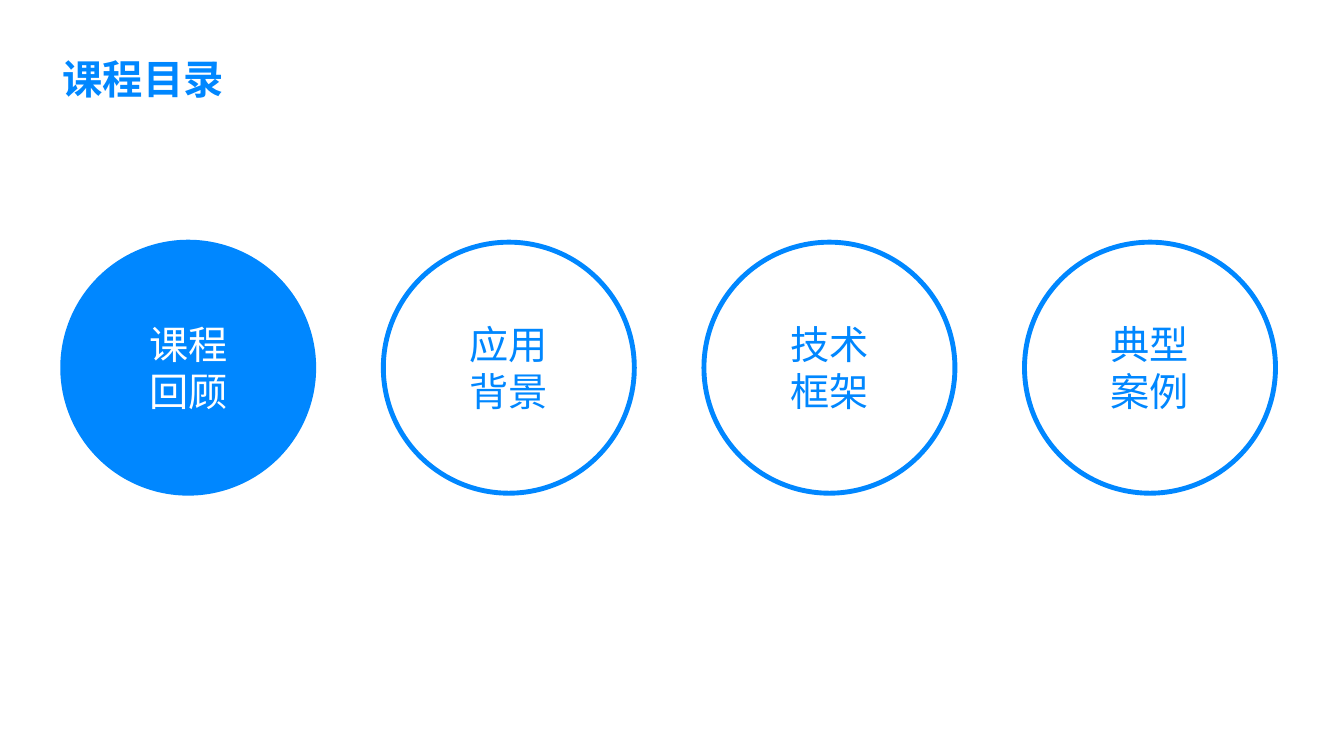
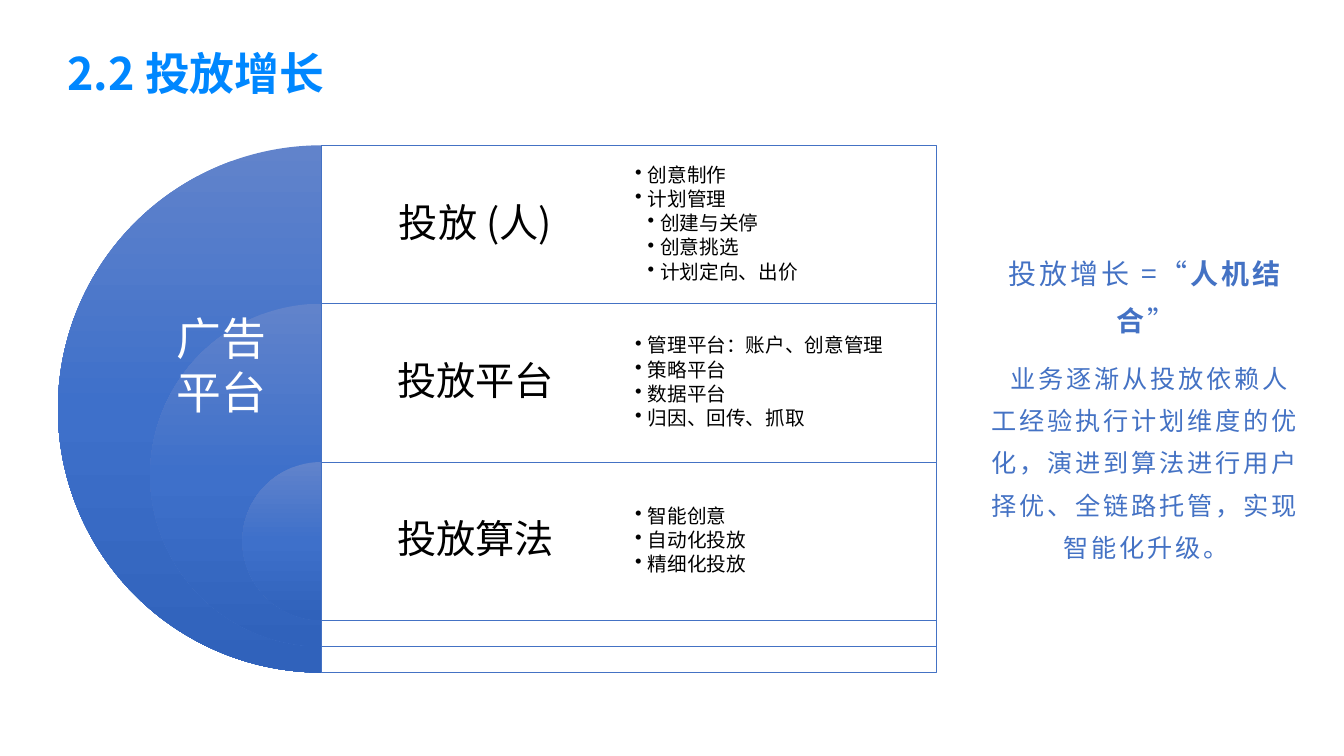
import copy

import pptx
import pptx.dml.color
import pptx.enum.shapes
import pptx.enum.text
import pptx.oxml.ns
import pptx.oxml.xmlchemy
import pptx.util

Pt = pptx.util.Pt
SHAPE = pptx.enum.shapes.MSO_SHAPE
ALIGN = pptx.enum.text.PP_ALIGN
ANCHOR = pptx.enum.text.MSO_ANCHOR
qn = pptx.oxml.ns.qn


class Deck:
    """Course deck style together with the slide being built."""

    COLORS = {
        "brand": "0087FF",
        "accent": "4472C4",
        "white": "FFFFFF",
        "black": "000000",
        "arc_top": "6183CB",
        "arc_middle": "3E70CA",
        "arc_bottom": "3062BB",
    }
    FONT = "Noto Sans CJK SC"

    def __init__(self):
        self.deck = pptx.Presentation()
        self.deck.slide_width, self.deck.slide_height = Pt(960), Pt(540)
        self.slide = None

    def color(self, name):
        return pptx.dml.color.RGBColor.from_string(self.COLORS[name])

    def sub(self, parent, tag, **attributes):
        element = pptx.oxml.xmlchemy.OxmlElement(tag)
        for key, value in attributes.items():
            element.set(key, value)
        parent.append(element)

    def format_run(self, run, size, color, bold=False, spacing=0):
        run.font.size, run.font.bold = Pt(size), bold
        run.font.color.rgb = self.color(color)
        run.font.name = self.FONT
        properties = run.font._element
        self.sub(properties, "a:ea", typeface=self.FONT)
        if spacing:
            properties.set("spc", str(spacing * 100))

    def title(self, text, box, size):
        layout = self.deck.slide_layouts[6]
        self.slide = self.deck.slides.add_slide(layout)
        self.text(text, box, size, "brand", bold=True, line_spacing=0.9)

    def frame(self, box, anchor=ANCHOR.TOP, inset=None):
        frame = self.slide.shapes.add_textbox(*map(Pt, box)).text_frame
        frame.word_wrap, frame.vertical_anchor = True, anchor
        if inset is not None:
            frame.margin_left = frame.margin_right = Pt(inset)
            frame.margin_top = frame.margin_bottom = Pt(inset)
        return frame

    def text(self, text, box, size, color, bold=False, align=ALIGN.LEFT,
             anchor=ANCHOR.MIDDLE, line_spacing=1.0):
        frame = self.frame(box, anchor)
        frame.text = text
        line = frame.paragraphs[0]
        line.alignment, line.line_spacing = align, line_spacing
        self.format_run(line.runs[0], size, color, bold)

    def shape(self, kind, box, line=None, width=0):
        shape = self.slide.shapes.add_shape(kind, *map(Pt, box))
        shape.shadow.inherit = False
        if line:
            shape.line.color.rgb = self.color(line)
            shape.line.width = Pt(width)
        else:
            shape.line.fill.background()
        return shape

    def circle(self, lines, box, fill, color):
        circle = self.shape(SHAPE.OVAL, box, "brand", 3.5)
        circle.fill.solid()
        circle.fill.fore_color.rgb = self.color(fill)
        frame = circle.text_frame
        frame.text = "\n".join(lines)
        frame.vertical_anchor = ANCHOR.MIDDLE
        for line in frame.paragraphs:
            line.alignment = ALIGN.CENTER
            self.format_run(line.runs[0], 28, color)

    def half_disc(self, box):
        disc = self.shape(SHAPE.PIE, box)
        disc.adjustments[0], disc.adjustments[1] = 54, 162
        disc.fill.gradient()
        disc.fill.gradient_angle = 270
        stop_list = disc._element.spPr.find(".//" + qn("a:gsLst"))
        stop_list.append(copy.deepcopy(stop_list[-1]))
        names = ("arc_top", "arc_middle", "arc_bottom")
        for index, (stop, name) in enumerate(zip(disc.fill.gradient_stops, names)):
            stop.position = index / 2
            stop.color.rgb = self.color(name)

    def panel(self, box):
        panel = self.shape(SHAPE.RECTANGLE, box, "accent", 0.5)
        panel.fill.solid()
        panel.fill.fore_color.rgb = self.color("white")
        fill = panel._element.spPr.find(qn("a:solidFill"))
        self.sub(fill[0], "a:alpha", val="90000")

    def bullets(self, items, box):
        frame = self.frame(box, ANCHOR.MIDDLE, 4.4)
        frame.text = "\n".join(text for text, level in items)
        for line, (text, level) in zip(frame.paragraphs, items):
            line.level = level
            line.line_spacing, line.space_after = 0.9, Pt(2.1)
            properties = line._p.get_or_add_pPr()
            properties.set("marL", str(Pt(9 * (level + 1))))
            properties.set("indent", str(-Pt(9)))
            self.sub(properties, "a:buChar", char="•")
            self.format_run(line.runs[0], 14, "black")

    def summary(self, paragraphs, box):
        frame = self.frame(box)
        for index, (size, indent, parts) in enumerate(paragraphs):
            line = frame.add_paragraph() if index else frame.paragraphs[0]
            line.alignment, line.line_spacing = ALIGN.CENTER, 1.4
            if index:
                line.space_before = Pt(10)
            line._p.get_or_add_pPr().set("indent", str(Pt(indent)))
            for text, bold in parts:
                run = line.add_run()
                run.text = text
                self.format_run(run, size, "accent", bold, spacing=2)


def contents(deck):
    deck.title("课程目录", (37.5, 39, 374, 39), 28.8)
    chapters = [("课程", "回顾"), ("应用", "背景"), ("技术", "框架"), ("典型", "案例")]
    for index, chapter in enumerate(chapters):
        fill, color = ("white", "brand") if index else ("brand", "white")
        deck.circle(chapter, (44.8 + 229 * index, 173, 179.3, 179.3), fill, color)


def growth(deck):
    deck.title("2.2 投放增长", (41, 22.3, 240, 63.4), 32)
    layers = [
        ("投放 (人)", [("创意制作", 0), ("计划管理", 0), ("创建与关停", 1),
                    ("创意挑选", 1), ("计划定向、出价", 1)]),
        ("投放平台", [("管理平台：账户、创意管理", 0), ("策略平台", 0),
                  ("数据平台", 0), ("归因、回传、抓取", 0)]),
        ("投放算法", [("智能创意", 0), ("自动化投放", 0), ("精细化投放", 0)]),
    ]
    axis, top, row, column = 229.7, 103.8, 113.1, 219.6
    for index, (label, details) in enumerate(layers):
        y, size = top + row * index, 376.6 - 131.8 * index
        deck.half_disc((axis - size / 2, y, size, size))
        deck.panel((axis, y, 2 * column, size))
        deck.text(label, (axis, y, column, row), 28, "black",
                  align=ALIGN.CENTER, line_spacing=0.9)
        deck.bullets(details, (axis + column, y, column, row))
    deck.text("广告平台", (118.8, 218.2, 104.4, 85), 32, "white", anchor=ANCHOR.TOP)
    deck.summary([
        (20, 0, [("投放增长 =“", False), ("人机结合", True), ("”", False)]),
        (18, 7, [("业务逐渐从投放依赖人工经验执行计划维度的优化，演进到算法进行"
                  "用户择优、全链路托管，实现智能化升级。", False)]),
    ], (699, 170, 239, 245))


def main():
    deck = Deck()
    contents(deck)
    growth(deck)
    deck.deck.save("out.pptx")


if __name__ == "__main__":
    main()
